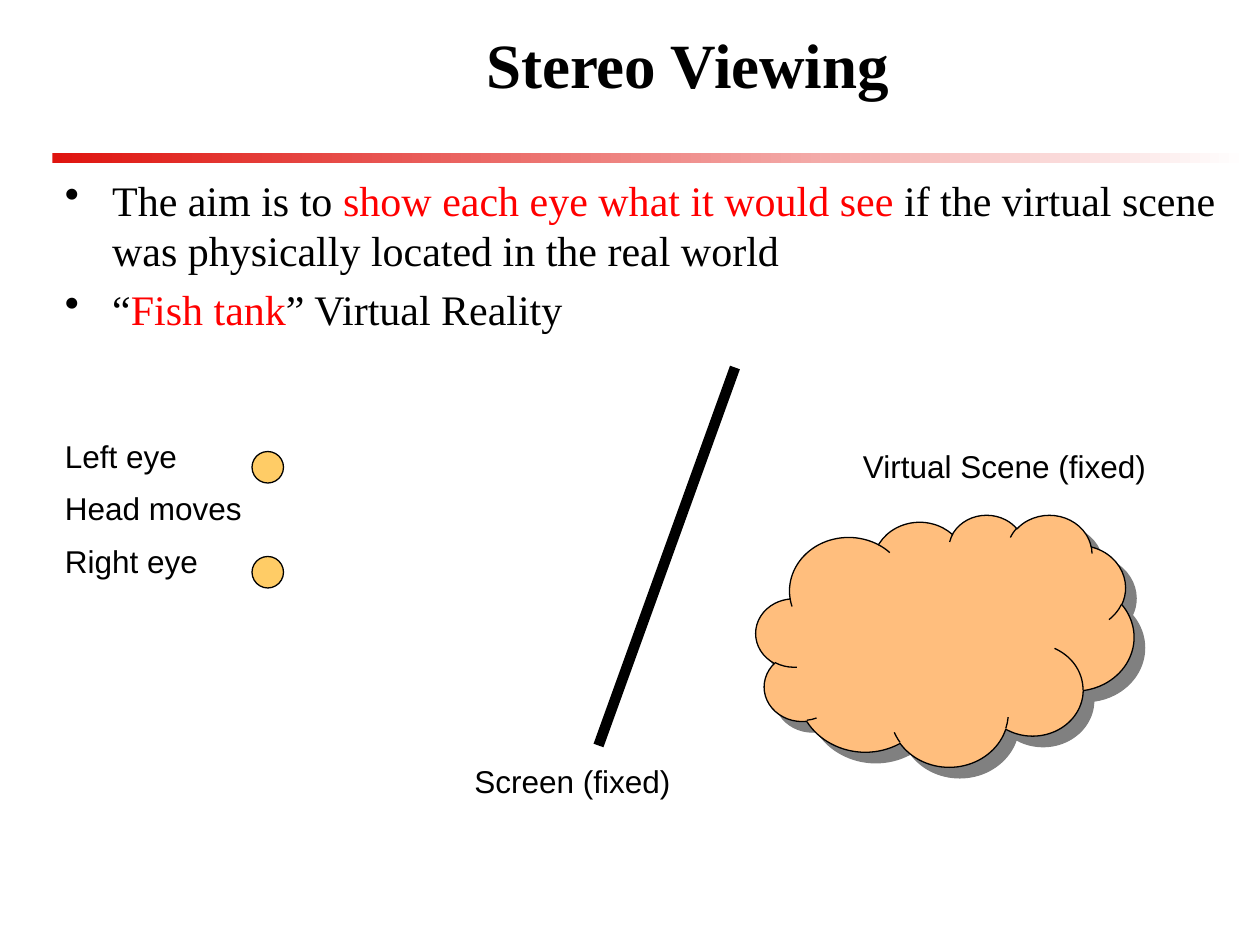
from dataclasses import dataclass

from lxml import etree
from pptx import Presentation
from pptx.dml.color import RGBColor
from pptx.enum.shapes import MSO_CONNECTOR, MSO_SHAPE
from pptx.enum.text import MSO_ANCHOR, PP_ALIGN
from pptx.oxml import parse_xml
from pptx.oxml.ns import nsdecls, qn
from pptx.util import Pt

RECT, OVAL, CLOUD = MSO_SHAPE.RECTANGLE, MSO_SHAPE.OVAL, MSO_SHAPE.CLOUD
STRAIGHT = MSO_CONNECTOR.STRAIGHT
LEFT, CENTER = PP_ALIGN.LEFT, PP_ALIGN.CENTER
TOP, MIDDLE = MSO_ANCHOR.TOP, MSO_ANCHOR.MIDDLE


@dataclass(frozen=True)
class Theme:
    serif: str = "Times New Roman"
    sans: str = "Arial"
    title_size: int = 36
    body_size: int = 24
    label_size: int = 18
    black: str = "000000"
    white: str = "FFFFFF"
    accent: str = "FF0000"
    rule: str = "DF140F"
    eye: str = "FFCC66"
    scene: str = "FFBE7D"
    shadow: str = "808080"


THEME = Theme()


def rgb(value):
    return RGBColor.from_string(value)


def add_run(p, text, font, size, color=THEME.black, bold=False):
    r = p.add_run()
    r.text = text
    r.font.name, r.font.size, r.font.bold = font, Pt(size), bold
    r.font.color.rgb = rgb(color)


def add_text_box(slide, box, anchor=TOP):
    tf = slide.shapes.add_textbox(*map(Pt, box)).text_frame
    tf.word_wrap = True
    tf.vertical_anchor = anchor
    return tf


def add_title(slide, text, box):
    p = add_text_box(slide, box, MIDDLE).paragraphs[0]
    p.alignment = CENTER
    add_run(p, text, THEME.serif, THEME.title_size, bold=True)


def add_label(slide, text, box):
    p = add_text_box(slide, box).paragraphs[0]
    p.alignment = LEFT
    add_run(p, text, THEME.sans, THEME.label_size)


def set_bullet(p, indent):
    pPr = p._p.get_or_add_pPr()
    pPr.set("marL", str(Pt(indent)))
    pPr.set("indent", str(-Pt(indent)))
    etree.SubElement(pPr, qn("a:buChar")).set("char", "•")


def add_bullets(slide, bullets, box):
    """Each bullet is a list of (text, color) runs."""
    tf = add_text_box(slide, box)
    for i, runs in enumerate(bullets):
        p = tf.paragraphs[0] if i == 0 else tf.add_paragraph()
        p.space_before = Pt(0.2 * THEME.body_size)
        set_bullet(p, 27)
        for text, color in runs:
            add_run(p, text, THEME.serif, THEME.body_size, color)


def add_rule(slide, box):
    sp = slide.shapes.add_shape(RECT, *map(Pt, box))
    sp.shadow.inherit = False
    sp.line.fill.background()
    sp.fill.gradient()
    sp.fill.gradient_angle = 0
    for stop, color in zip(sp.fill.gradient_stops, (THEME.rule, THEME.white)):
        stop.color.rgb = rgb(color)


def add_outlined(slide, kind, box, color):
    sp = slide.shapes.add_shape(kind, *map(Pt, box))
    sp.shadow.inherit = False
    sp.fill.solid()
    sp.fill.fore_color.rgb = rgb(color)
    sp.line.color.rgb = rgb(THEME.black)
    sp.line.width = Pt(0.75)
    return sp


def add_drop_shadow(sp, distance):
    effects = sp._element.spPr.find(qn("a:effectLst"))
    effects.append(parse_xml(
        f'<a:outerShdw {nsdecls("a")} dist="{Pt(distance)}" dir="2700000" '
        f'algn="ctr" rotWithShape="0"><a:srgbClr val="{THEME.shadow}"/></a:outerShdw>'))


def add_line(slide, start, end, width):
    line = slide.shapes.add_connector(STRAIGHT, *map(Pt, start + end))
    line.line.color.rgb = rgb(THEME.black)
    line.line.width = Pt(width)
    etree.SubElement(line._element.spPr, qn("a:effectLst"))


def main():
    prs = Presentation()
    prs.slide_width, prs.slide_height = Pt(720), Pt(540)
    s = prs.slides.add_slide(prs.slide_layouts[6])

    add_rule(s, (30, 87.3, 684, 6))
    add_title(s, "Stereo Viewing", (84, 6, 618, 60))
    add_bullets(s, [
        [("The aim is to ", THEME.black),
         ("show each eye what it would see ", THEME.accent),
         ("if the virtual scene was physically located in the real world", THEME.black)],
        [("“", THEME.black), ("Fish tank", THEME.accent), ("” Virtual Reality", THEME.black)],
    ], (30, 96, 672, 384))

    for y in (258, 318):
        add_outlined(s, OVAL, (144, y, 18, 18), THEME.eye)
    for i, text in enumerate(("Left eye", "Head moves", "Right eye")):
        add_label(s, text, (30, 246 + 30 * i, 134, 36))

    add_line(s, (420, 210), (342, 426), 6)
    add_label(s, "Screen (fixed)", (264, 432, 151, 36))

    scene = add_outlined(s, CLOUD, (432, 294, 216, 144), THEME.scene)
    add_drop_shadow(scene, 8.5)
    add_label(s, "Virtual Scene (fixed)", (486, 252, 217, 36))

    prs.save("out.pptx")


if __name__ == "__main__":
    main()
